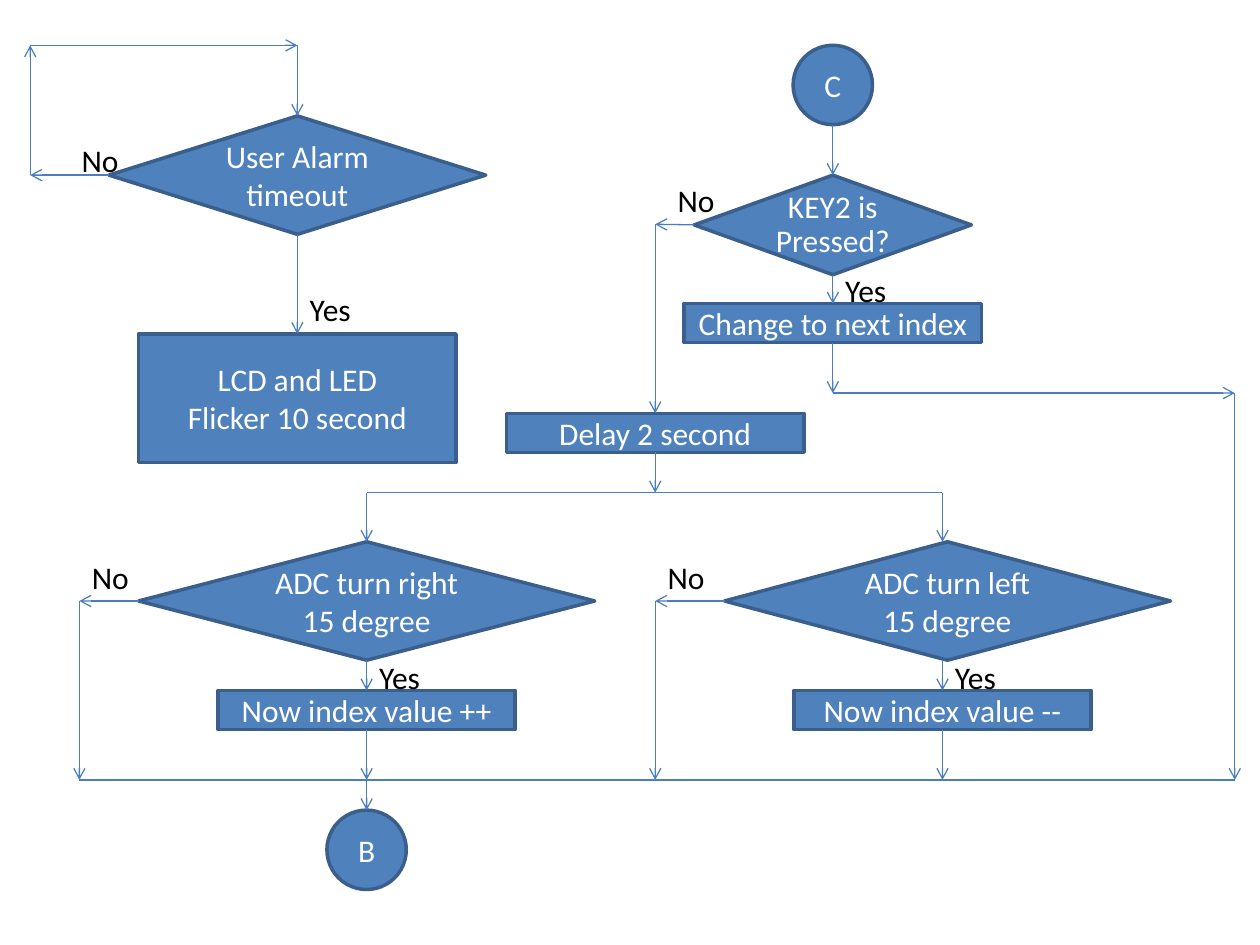
from dataclasses import dataclass

from lxml.etree import SubElement
from pptx import Presentation
from pptx.dml.color import RGBColor
from pptx.enum.shapes import MSO_CONNECTOR, MSO_SHAPE
from pptx.enum.text import MSO_ANCHOR, MSO_AUTO_SIZE, PP_ALIGN
from pptx.oxml.ns import qn
from pptx.util import Inches, Pt


@dataclass(frozen=True)
class Theme:
    fill: RGBColor = RGBColor(0x4F, 0x81, 0xBD)
    border: RGBColor = RGBColor(0x3A, 0x5F, 0x8C)
    flow: RGBColor = RGBColor(0x4B, 0x7E, 0xBC)
    light: RGBColor = RGBColor(0xFF, 0xFF, 0xFF)
    dark: RGBColor = RGBColor(0, 0, 0)
    font: str = "Calibri"
    size: Pt = Pt(18)
    border_width: Pt = Pt(2)
    flow_width: Pt = Pt(0.75)


theme = Theme()
TOP, LEFT, BOTTOM, RIGHT = range(4)


def write_text(frame, text, color=theme.dark, align=PP_ALIGN.LEFT, anchor=MSO_ANCHOR.TOP,
               margin=0.1, spacing=None):
    frame.word_wrap = True
    frame.vertical_anchor = anchor
    frame.margin_left = frame.margin_right = Inches(margin)
    for index, line in enumerate(text.split("\n")):
        para = frame.paragraphs[0] if index == 0 else frame.add_paragraph()
        para.alignment = align
        para.line_spacing = spacing
        span = para.add_run()
        span.text = line
        span.font.name = theme.font
        span.font.size = theme.size
        span.font.color.rgb = color


deck = Presentation()
deck.slide_width = Inches(10)
deck.slide_height = Inches(7.5)
page = deck.slides.add_slide(deck.slide_layouts[6])

alarm_x, right_x, delay_x, key_x, left_x = 2.36, 2.91, 5.2, 6.61, 7.48
loop_x, skip_x, bypass_x = 0.24, 0.63, 9.8
top_y, alarm_y, key_y, bypass_y = 0.36, 1.39, 1.78, 3.12
split_y, turn_y, merge_y = 3.91, 4.77, 6.19
step_width, step_height, circle = 2.36, 0.31, 0.63

nodes = [
    ("key", MSO_SHAPE.DIAMOND, key_x, 1.39, 2.2, 0.79, "KEY2 is Pressed?"),
    ("change", MSO_SHAPE.RECTANGLE, key_x, 2.41, step_width, step_height, "Change to next index"),
    ("delay", MSO_SHAPE.RECTANGLE, delay_x, 3.28, step_width, step_height, "Delay 2 second"),
    ("turn right", MSO_SHAPE.DIAMOND, right_x, 4.3, 3.62, 0.94, "ADC turn right 15 degree"),
    ("turn left", MSO_SHAPE.DIAMOND, 7.52, 4.3, 3.54, 0.94, "ADC turn left 15 degree"),
    ("increase", MSO_SHAPE.RECTANGLE, right_x, 5.48, step_width, step_height, "Now index value ++"),
    ("decrease", MSO_SHAPE.RECTANGLE, left_x, 5.48, step_width, step_height, "Now index value --"),
    ("entry", MSO_SHAPE.OVAL, key_x, top_y, circle, circle, "C"),
    ("exit", MSO_SHAPE.OVAL, right_x, 6.43, circle, circle, "B"),
    ("alarm", MSO_SHAPE.DIAMOND, alarm_x, 0.92, 2.99, 0.94, "User Alarm\ntimeout"),
    ("flicker", MSO_SHAPE.RECTANGLE, alarm_x, 2.65, 2.52, 1.02, "LCD and LED\nFlicker 10 second"),
]
tight_fit = {"key": {"margin": 0.04, "spacing": 0.9}}
shapes = {}
for name, kind, center, top, width, height, text in nodes:
    node = page.shapes.add_shape(
        kind, Inches(center - width / 2), Inches(top), Inches(width), Inches(height)
    )
    node.shadow.inherit = False
    node.fill.solid()
    node.fill.fore_color.rgb = theme.fill
    node.line.color.rgb = theme.border
    node.line.width = theme.border_width
    write_text(node.text_frame, text, color=theme.light, align=PP_ALIGN.CENTER,
               anchor=MSO_ANCHOR.MIDDLE, **tight_fit.get(name, {}))
    shapes[name] = node

flows = [
    ((key_x, 0.99), (key_x, 1.39), None, ("key", TOP), True),
    ((key_x, 2.18), (key_x, 2.41), ("key", BOTTOM), ("change", TOP), True),
    ((key_x, 2.72), (key_x, bypass_y), ("change", BOTTOM), None, True),
    ((key_x, bypass_y), (bypass_x, bypass_y), None, None, True),
    ((bypass_x, bypass_y), (bypass_x, merge_y), None, None, True),
    ((5.51, key_y), (delay_x, key_y), ("key", LEFT), None, True),
    ((delay_x, key_y), (delay_x, 3.28), None, ("delay", TOP), True),
    ((delay_x, 3.59), (delay_x, split_y), ("delay", BOTTOM), None, True),
    ((right_x, split_y), (left_x, split_y), None, None, False),
    ((right_x, split_y), (right_x, 4.3), None, ("turn right", TOP), True),
    ((left_x, split_y), (left_x, 4.3), None, None, True),
    ((right_x, 5.24), (right_x, 5.48), ("turn right", BOTTOM), ("increase", TOP), True),
    ((left_x, 5.24), (left_x, 5.48), None, ("decrease", TOP), True),
    ((right_x, 5.79), (right_x, merge_y), ("increase", BOTTOM), None, True),
    ((left_x, 5.79), (left_x, merge_y), ("decrease", BOTTOM), None, True),
    ((1.1, turn_y), (skip_x, turn_y), ("turn right", LEFT), None, True),
    ((5.75, turn_y), (delay_x, turn_y), ("turn left", LEFT), None, True),
    ((skip_x, turn_y), (skip_x, merge_y), None, None, True),
    ((delay_x, turn_y), (delay_x, merge_y), None, None, True),
    ((bypass_x, merge_y), (skip_x, merge_y), None, None, False),
    ((right_x, 5.95), (right_x, 6.43), None, ("exit", TOP), True),
    ((alarm_x, 1.86), (alarm_x, 2.65), ("alarm", BOTTOM), ("flicker", TOP), True),
    ((0.87, alarm_y), (loop_x, alarm_y), ("alarm", LEFT), None, True),
    ((loop_x, alarm_y), (loop_x, top_y), None, None, True),
    ((loop_x, top_y), (alarm_x, top_y), None, None, True),
    ((alarm_x, top_y), (alarm_x, 0.92), None, ("alarm", TOP), True),
]
for start, end, source, target, has_arrow in flows:
    flow = page.shapes.add_connector(
        MSO_CONNECTOR.STRAIGHT, *[Inches(value) for value in start + end]
    )
    flow.line.color.rgb = theme.flow
    flow.line.width = theme.flow_width
    if source:
        flow.begin_connect(shapes[source[0]], source[1])
    if target:
        flow.end_connect(shapes[target[0]], target[1])
    if has_arrow:
        SubElement(flow.line._get_or_add_ln(), qn("a:tailEnd"), type="arrow")
    SubElement(flow._element.spPr, qn("a:effectLst"))

labels = [
    ("No", 5.28, 1.39),
    ("No", skip_x, 4.38),
    ("No", delay_x, 4.38),
    ("No", 0.55, 1.07),
    ("Yes", right_x, 5.17),
    ("Yes", key_x, 2.1),
    ("Yes", left_x, 5.17),
    ("Yes", alarm_x, 2.25),
]
for text, left, top in labels:
    box = page.shapes.add_textbox(Inches(left), Inches(top), Inches(0.55), Inches(0.4))
    write_text(box.text_frame, text)
    box.text_frame.auto_size = MSO_AUTO_SIZE.SHAPE_TO_FIT_TEXT

deck.save("out.pptx")
